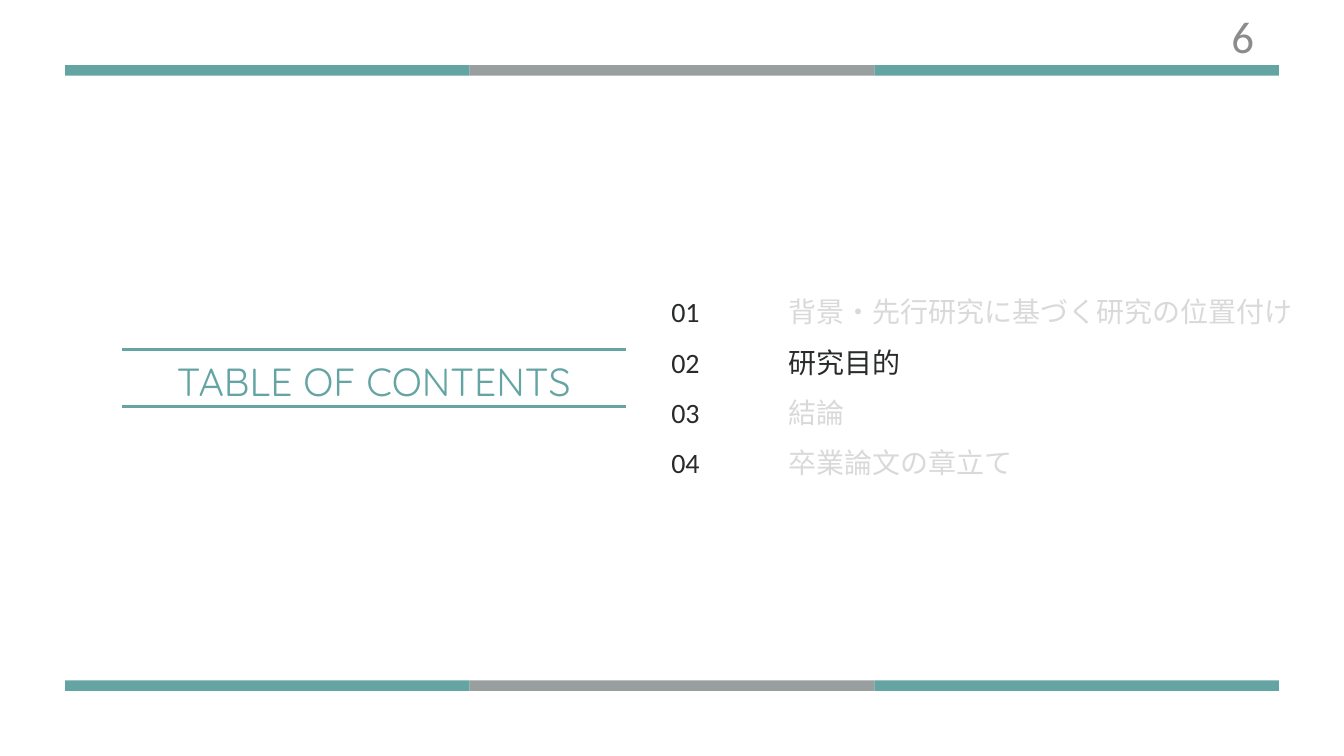
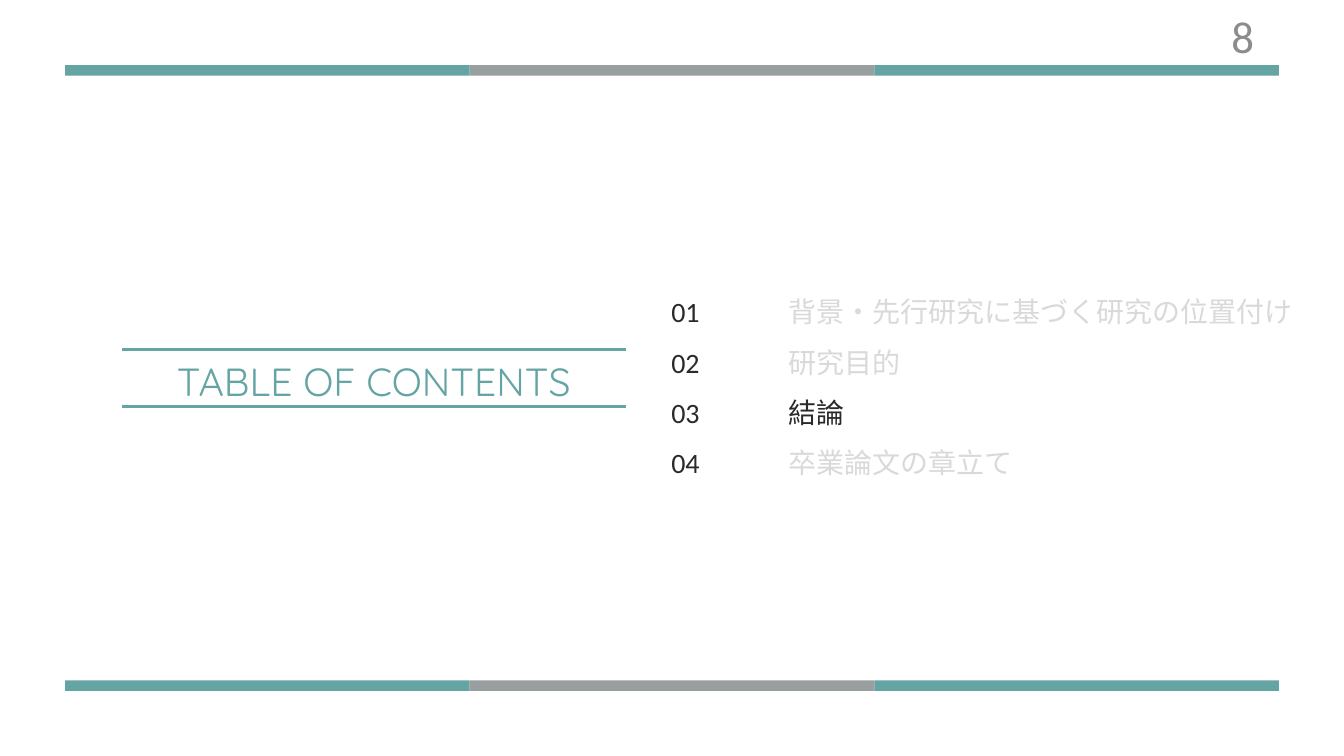
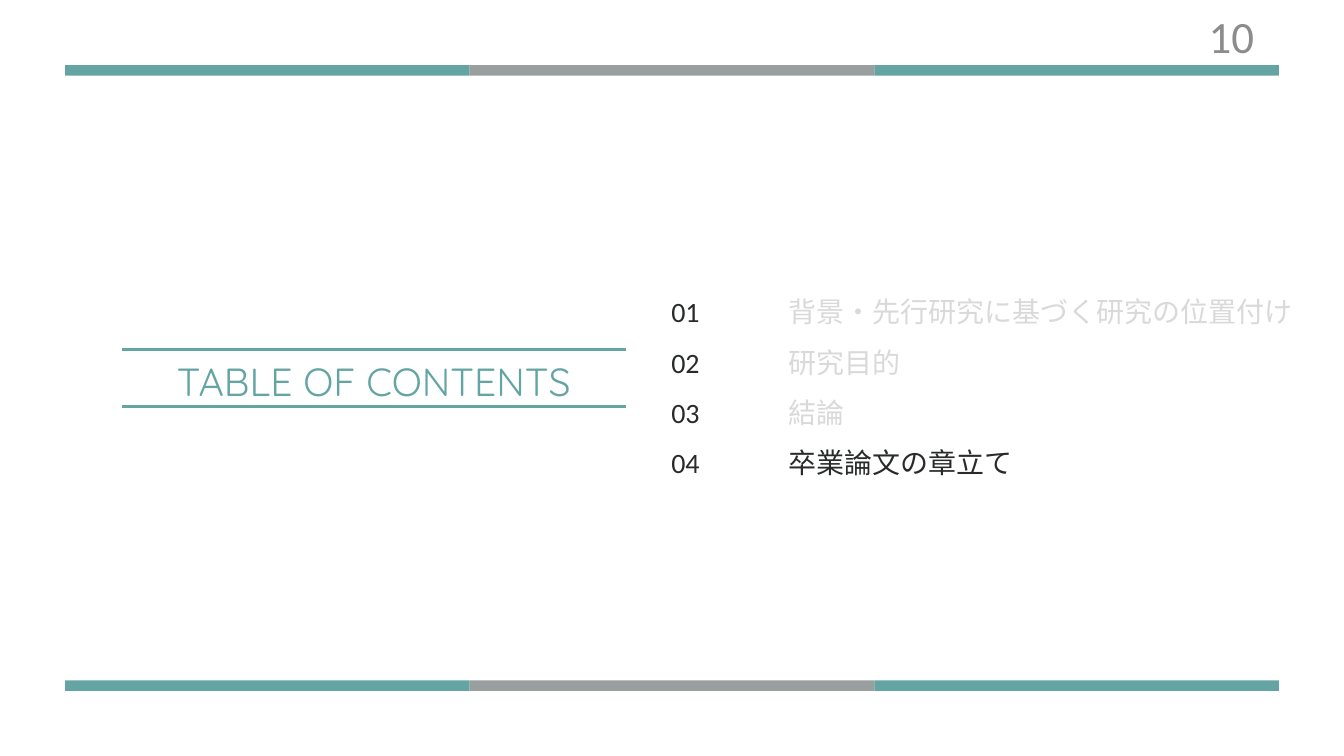
import dataclasses

import lxml.etree
import pptx
import pptx.dml.color
import pptx.enum.shapes
import pptx.enum.text
import pptx.oxml.ns
import pptx.util

# Content
TITLE = "TABLE OF CONTENTS"
TOPICS = ["背景・先行研究に基づく研究の位置付け", "研究目的", "結論", "卒業論文の章立て"]
NUMBERS = [f"{index:02d}" for index in range(1, len(TOPICS) + 1)]
PAGES = [  # page number, highlighted topic
    (6, "研究目的"),
    (8, "結論"),
    (10, "卒業論文の章立て"),
]


@dataclasses.dataclass(frozen=True)
class Theme:
    teal: str = "64A4A3"
    gray: str = "999F9F"
    ink: str = "292B2B"
    faded: str = "D9D9D9"
    page_gray: str = "8C8C8C"
    title_font: str = "Quicksand"
    number_font: str = "Calibri"
    topic_font: str = "Noto Sans CJK SC"
    title_size: float = 42
    title_leading: float = 58.8
    list_size: float = 30
    list_leading: float = 54
    page_size: float = 48
    rule_width: float = 3


THEME = Theme()

# Layout in px (left, top, width, height)
SLIDE_SIZE = (1920, 1080)
TITLE_AREA = (193, 499, 682, 75)
NUMBER_AREA = (959, 397, 168, 284)
TOPIC_AREA = (1127, 397, 754, 284)
PAGE_AREA = (1577, 32, 224, 38)
BAND_LEFT, BAND_WIDTH, BAND_HEIGHT = 93, 578, 15
BAND_TOPS = (93, 972)
BAND_COLORS = (THEME.teal, THEME.gray, THEME.teal)
RULE_LEFT, RULE_RIGHT = 174, 894
RULE_TOPS = (499, 581)

ALIGN = pptx.enum.text.PP_ALIGN
ANCHOR = pptx.enum.text.MSO_ANCHOR


def px(length):
    return pptx.util.Emu(length * 9525)


def rgb(code):
    return pptx.dml.color.RGBColor.from_string(code)


def format_para(para, font, size, color, align, leading=None):
    """Set the look of a one-run paragraph."""
    para.alignment = align
    if leading:
        para.space_before = para.space_after = pptx.util.Pt(0)
        para.line_spacing = pptx.util.Pt(leading)
    span = para.runs[0]
    span.font.name = font
    span.font.size = pptx.util.Pt(size)
    span.font.color.rgb = rgb(color)
    east_asian = lxml.etree.Element(pptx.oxml.ns.qn("a:ea"), typeface=font)
    span.font._element.find(pptx.oxml.ns.qn("a:latin")).addnext(east_asian)


def fill_placeholder(box, area, lines):
    """Move a placeholder, clear its insets and set its text lines."""
    box.left, box.top, box.width, box.height = map(px, area)
    frame = box.text_frame
    frame.text = "\n".join(lines)
    frame.word_wrap = True
    frame.auto_size = pptx.enum.text.MSO_AUTO_SIZE.SHAPE_TO_FIT_TEXT
    frame.vertical_anchor = ANCHOR.TOP
    frame.margin_left = frame.margin_top = frame.margin_right = frame.margin_bottom = 0
    return frame.paragraphs


def add_list(box, area, lines, font, colors):
    for para, color in zip(fill_placeholder(box, area, lines), colors):
        properties = para._p.get_or_add_pPr()
        properties.set("marL", "0")
        properties.set("indent", "0")
        lxml.etree.SubElement(properties, pptx.oxml.ns.qn("a:buNone"))
        format_para(para, font, THEME.list_size, color, ALIGN.LEFT, THEME.list_leading)


def add_bands(page):
    for top in BAND_TOPS:
        group = page.shapes.add_group_shape()
        for column, color in enumerate(BAND_COLORS):
            band = group.shapes.add_shape(
                pptx.enum.shapes.MSO_SHAPE.RECTANGLE,
                px(BAND_LEFT + column * BAND_WIDTH), px(top), px(BAND_WIDTH), px(BAND_HEIGHT))
            band.shadow.inherit = False
            band.fill.solid()
            band.fill.fore_color.rgb = rgb(color)
            band.line.fill.background()


def add_title(page):
    para = fill_placeholder(page.shapes.title, TITLE_AREA, [TITLE])[0]
    format_para(para, THEME.title_font, THEME.title_size, THEME.teal,
                ALIGN.CENTER, THEME.title_leading)
    for top in RULE_TOPS:
        rule = page.shapes.add_connector(
            pptx.enum.shapes.MSO_CONNECTOR.STRAIGHT,
            px(RULE_LEFT), px(top), px(RULE_RIGHT), px(top))
        rule.line.color.rgb = rgb(THEME.teal)
        rule.line.width = pptx.util.Pt(THEME.rule_width)
        lxml.etree.SubElement(rule._element.spPr, pptx.oxml.ns.qn("a:effectLst"))


def add_page_number(page, number):
    frame = page.shapes.add_textbox(*map(px, PAGE_AREA)).text_frame
    frame.text = str(number)
    frame.word_wrap = True
    frame.vertical_anchor = ANCHOR.MIDDLE
    format_para(frame.paragraphs[0], THEME.number_font, THEME.page_size,
                THEME.page_gray, ALIGN.RIGHT)


def add_contents_page(deck, number, current):
    page = deck.slides.add_slide(deck.slide_layouts.get_by_name("Two Content"))
    add_bands(page)
    add_title(page)
    add_list(page.placeholders[1], NUMBER_AREA, NUMBERS, THEME.number_font,
             [THEME.ink] * len(NUMBERS))
    add_list(page.placeholders[2], TOPIC_AREA, TOPICS, THEME.topic_font,
             [THEME.ink if topic == current else THEME.faded for topic in TOPICS])
    add_page_number(page, number)


def main():
    deck = pptx.Presentation()
    deck.slide_width, deck.slide_height = map(px, SLIDE_SIZE)
    for number, current in PAGES:
        add_contents_page(deck, number, current)
    deck.save("out.pptx")


if __name__ == "__main__":
    main()
